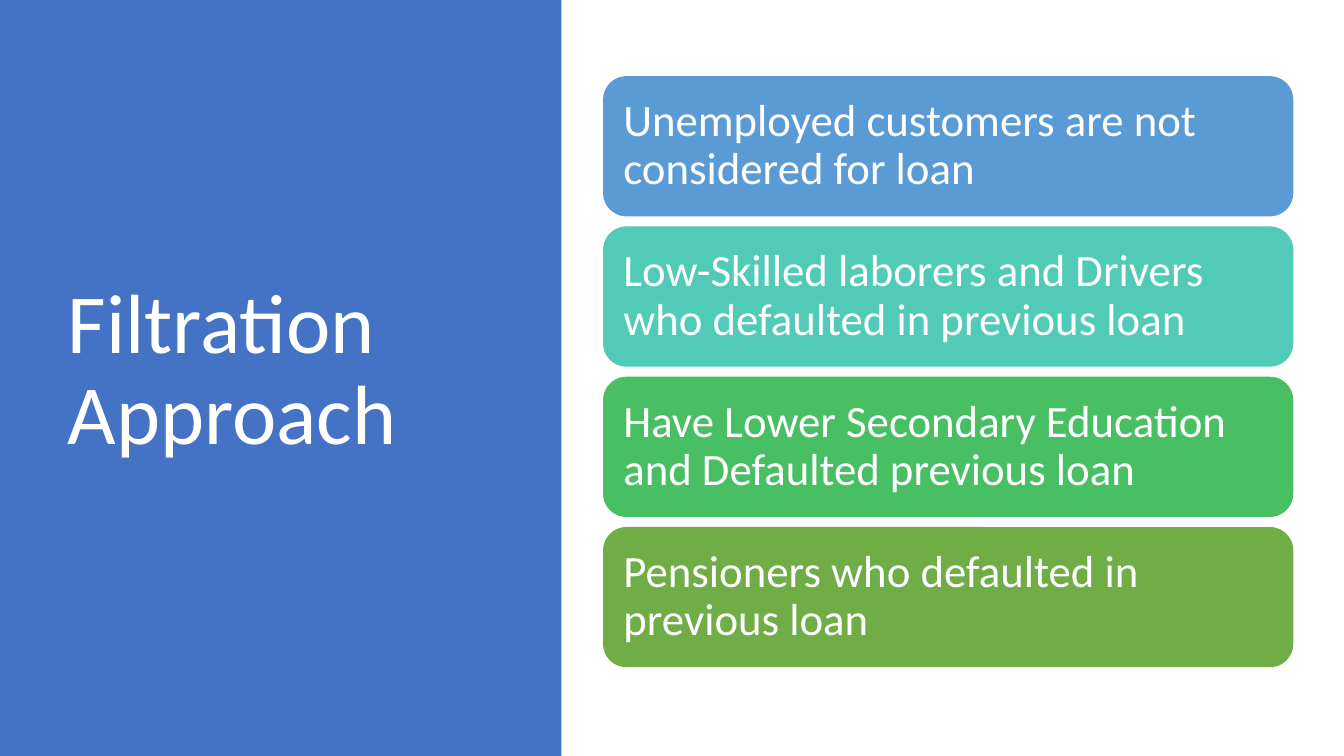
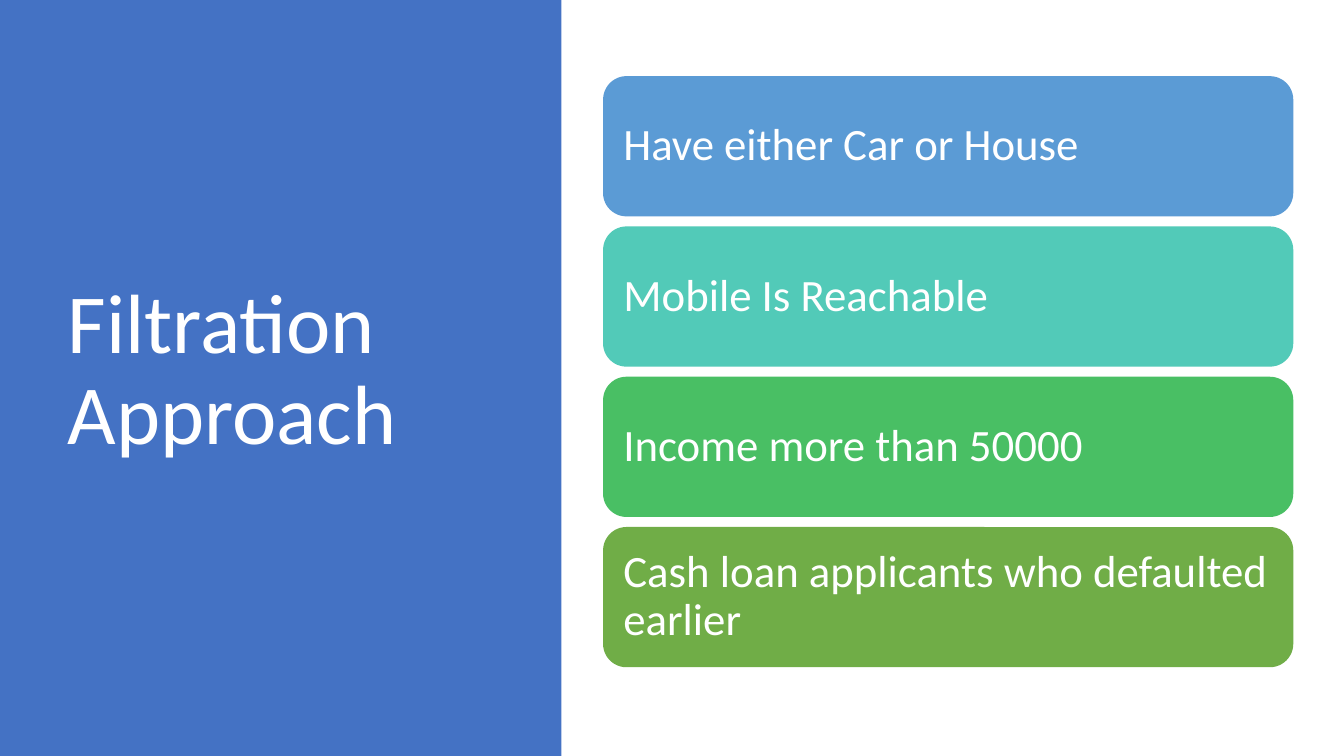
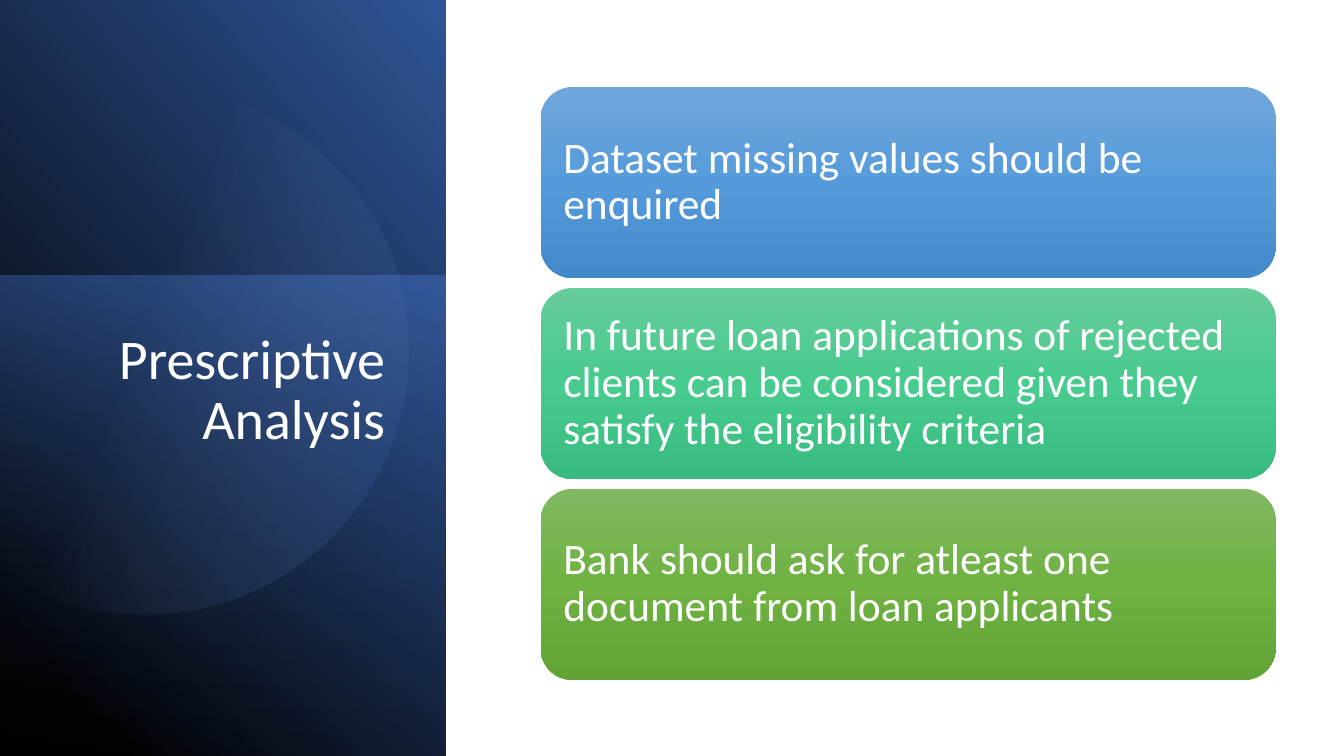
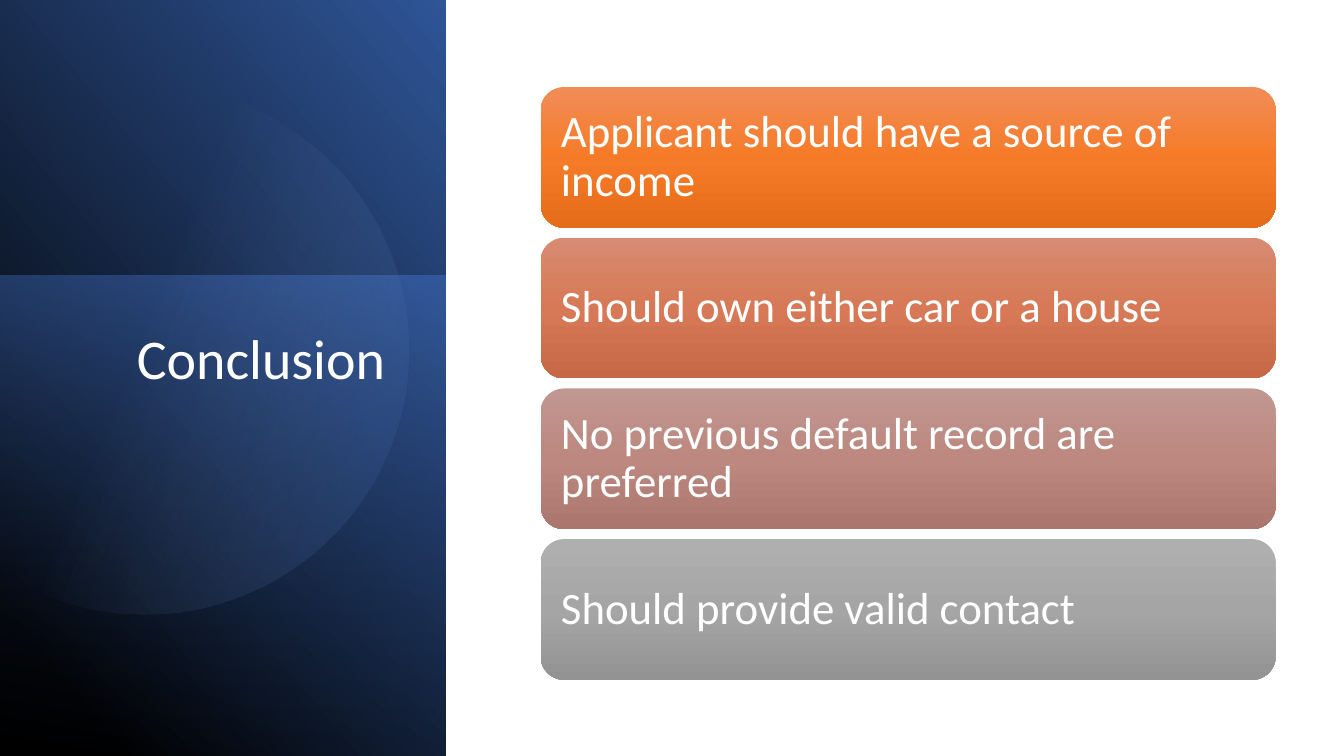
from math import acos, cos, pi, sin

from pptx import Presentation
from pptx.dml.color import RGBColor
from pptx.enum.shapes import MSO_SHAPE
from pptx.enum.text import MSO_ANCHOR, MSO_AUTO_SIZE, PP_ALIGN
from pptx.oxml import parse_xml
from pptx.oxml.ns import nsdecls
from pptx.util import Pt

WHITE = RGBColor(0xFF, 0xFF, 0xFF)
BLACK = RGBColor(0x00, 0x00, 0x00)
BLUE = RGBColor(0x44, 0x72, 0xC4)
DEEP_BLUE = RGBColor(0x2F, 0x55, 0x97)
NAVY = RGBColor(0x20, 0x38, 0x64)
PALE_BLUE = RGBColor(0x8F, 0xAA, 0xDC)
SKY = RGBColor(0x5B, 0x9B, 0xD5)
TEAL = RGBColor(0x52, 0xCA, 0xB8)
GREEN = RGBColor(0x49, 0xBF, 0x64)
OLIVE = RGBColor(0x70, 0xAD, 0x47)
SKY_SHADES = (RGBColor(0x71, 0xA6, 0xDB), RGBColor(0x55, 0x9B, 0xDB), RGBColor(0x44, 0x8A, 0xCA))
MINT_SHADES = (RGBColor(0x67, 0xCC, 0x9A), RGBColor(0x47, 0xCB, 0x8E), RGBColor(0x39, 0xBB, 0x7F))
OLIVE_SHADES = (RGBColor(0x81, 0xB8, 0x61), RGBColor(0x6F, 0xB2, 0x42), RGBColor(0x62, 0xA3, 0x36))
ORANGE_SHADES = (RGBColor(0xF1, 0x8C, 0x57), RGBColor(0xF6, 0x7B, 0x28), RGBColor(0xE5, 0x6C, 0x19))
CORAL_SHADES = (RGBColor(0xD7, 0x8B, 0x72), RGBColor(0xD7, 0x79, 0x56), RGBColor(0xC6, 0x68, 0x46))
ROSE_SHADES = (RGBColor(0xC1, 0x97, 0x91), RGBColor(0xBC, 0x88, 0x80), RGBColor(0xAA, 0x76, 0x6E))
GREY_SHADES = (RGBColor(0xAF, 0xAF, 0xAF), RGBColor(0xA5, 0xA5, 0xA5), RGBColor(0x93, 0x93, 0x93))

FONT = "Calibri"
SLIDE_WIDTH, SLIDE_HEIGHT = 960, 540
FLAT_PANEL = (0, 0, 401, SLIDE_HEIGHT)
SHADED_PANEL = (0, 0, 318.5, SLIDE_HEIGHT)
FLAT_CARDS = (430.8, 54.4, 493, 422.2)
SHADED_CARDS = (386.2, 62.2, 525, 423.4)
CARD_GAP = 7.2
CARD_INSET = 9.6
FLAT_COLOURS = (SKY, TEAL, GREEN, OLIVE)


def apply_format(target, values):
    """Set each named attribute of the target."""
    for name, value in values.items():
        setattr(target, name, value)


def paint(shape, fill, angle=90):
    """Fill a shape with a colour, or a gradient of (position, colour, opacity) stops."""
    shape.shadow.inherit = False
    shape.line.fill.background()
    if isinstance(fill, RGBColor):
        shape.fill.solid()
        shape.fill.fore_color.rgb = fill
        return
    stops = "".join(
        f'<a:gs pos="{position * 1000}"><a:srgbClr val="{colour}">'
        f'<a:alpha val="{opacity * 1000}"/></a:srgbClr></a:gs>'
        for position, colour, opacity in fill
    )
    gradient = parse_xml(
        f'<a:gradFill {nsdecls("a")} rotWithShape="1"><a:gsLst>{stops}</a:gsLst>'
        f'<a:lin ang="{angle * 60000}" scaled="0"/></a:gradFill>'
    )
    shape.element.spPr.insert(2, gradient)


def add_painted(slide, kind, box, fill, angle=90):
    """Add a preset shape in the box and paint it."""
    shape = slide.shapes.add_shape(kind, *map(Pt, box))
    paint(shape, fill, angle)
    return shape


def write_text(shape, text, size, alignment, anchor, inset=None):
    """Write one white paragraph into a shape."""
    frame = shape.text_frame
    frame.text = text
    apply_format(frame, {"word_wrap": True, "auto_size": MSO_AUTO_SIZE.NONE, "vertical_anchor": anchor})
    if inset is not None:
        sides = ("margin_left", "margin_top", "margin_right", "margin_bottom")
        apply_format(frame, dict.fromkeys(sides, Pt(inset)))
    paragraph = frame.paragraphs[0]
    apply_format(paragraph, {"alignment": alignment, "line_spacing": 0.9})
    apply_format(paragraph.font, {"name": FONT, "size": Pt(size)})
    paragraph.font.color.rgb = WHITE


def place_title(slide, box, text, size, alignment, anchor):
    """Bring the title placeholder to the front and place it in the box."""
    title = slide.shapes.title
    slide.shapes.element.append(title.element)
    apply_format(title, dict(zip(("left", "top", "width", "height"), map(Pt, box))))
    write_text(title, text, size, alignment, anchor)


def add_flat_panel(slide, box, text):
    """Draw the plain blue panel with a large title."""
    left, top, width, height = box
    add_painted(slide, MSO_SHAPE.RECTANGLE, box, BLUE)
    title_box = (left + 41, top + 49, width - 101.5, height - 106.6)
    place_title(slide, title_box, text, 60, PP_ALIGN.LEFT, MSO_ANCHOR.MIDDLE)


def add_glow(slide, left, center_top, center_offset, radius):
    """Draw a translucent disc that is cut off at the left edge."""
    limit = acos(-center_offset / radius)
    steps = 120
    angles = [limit * (2 * step / steps - 1) for step in range(steps + 1)]
    points = [
        (Pt(left + center_offset + radius * cos(angle)), Pt(center_top + radius * sin(angle)))
        for angle in angles
    ]
    builder = slide.shapes.build_freeform(*points[0])
    builder.add_line_segments(points[1:], close=True)
    paint(builder.convert_to_shape(), [(39, PALE_BLUE, 0), (100, DEEP_BLUE, 26)], 22)


def add_shaded_panel(slide, box, text):
    """Draw the dark gradient panel with its glow and right-aligned title."""
    left, top, width, height = box
    add_painted(slide, MSO_SHAPE.RECTANGLE, box, [(11, BLACK, 100), (100, DEEP_BLUE, 100)], 320)
    lower_box = (left, top + 196.8, width, height - 196.8)
    add_painted(slide, MSO_SHAPE.RECTANGLE, lower_box, [(0, BLUE, 50), (100, NAVY, 0)], 100)
    add_glow(slide, left, top + 250, 103, 189)
    title_box = (left + 41.8, top + 232.6, width - 78, height - 262)
    place_title(slide, title_box, text, 40, PP_ALIGN.RIGHT, MSO_ANCHOR.TOP)


def add_cards(slide, box, cards, size):
    """Stack equal rounded cards of (text, fill) down the box."""
    left, top, width, height = box
    card_height = (height - CARD_GAP * (len(cards) - 1)) / len(cards)
    for index, (text, fill) in enumerate(cards):
        card_top = top + index * (card_height + CARD_GAP)
        if not isinstance(fill, RGBColor):
            fill = [(position, colour, 100) for position, colour in zip((0, 50, 100), fill)]
        card_box = (left, card_top, width, card_height)
        card = add_painted(slide, MSO_SHAPE.ROUNDED_RECTANGLE, card_box, fill)
        write_text(card, text, size, PP_ALIGN.LEFT, MSO_ANCHOR.MIDDLE, CARD_INSET)


def add_flat_slide(presentation, title, texts):
    """Add a slide with the plain panel and flat cards."""
    slide = presentation.slides.add_slide(presentation.slide_layouts[5])
    add_flat_panel(slide, FLAT_PANEL, title)
    add_cards(slide, FLAT_CARDS, list(zip(texts, FLAT_COLOURS)), 32)


def add_shaded_slide(presentation, title, cards, size):
    """Add a slide with the gradient panel and gradient cards."""
    slide = presentation.slides.add_slide(presentation.slide_layouts[5])
    add_shaded_panel(slide, SHADED_PANEL, title)
    add_cards(slide, SHADED_CARDS, cards, size)


def main():
    """Build and save the presentation."""
    presentation = Presentation()
    apply_format(presentation, {"slide_width": Pt(SLIDE_WIDTH), "slide_height": Pt(SLIDE_HEIGHT)})
    add_flat_slide(presentation, "Filtration Approach", [
        "Unemployed customers are not considered for loan",
        "Low-Skilled laborers and Drivers who defaulted in previous loan",
        "Have Lower Secondary Education and Defaulted previous loan",
        "Pensioners who defaulted in previous loan",
    ])
    add_flat_slide(presentation, "Filtration Approach", [
        "Have either Car or House",
        "Mobile Is Reachable",
        "Income more than 50000",
        "Cash loan applicants who defaulted earlier",
    ])
    add_shaded_slide(presentation, "Prescriptive Analysis", [
        ("Dataset missing values should be enquired", SKY_SHADES),
        ("In future loan applications of rejected clients can be considered "
         "given they satisfy the eligibility criteria", MINT_SHADES),
        ("Bank should ask for atleast one document from loan applicants", OLIVE_SHADES),
    ], 31)
    add_shaded_slide(presentation, "Conclusion", [
        ("Applicant should have a source of income", ORANGE_SHADES),
        ("Should own either car or a house", CORAL_SHADES),
        ("No previous default record are preferred", ROSE_SHADES),
        ("Should provide valid contact", GREY_SHADES),
    ], 32)
    presentation.save("out.pptx")


if __name__ == "__main__":
    main()
